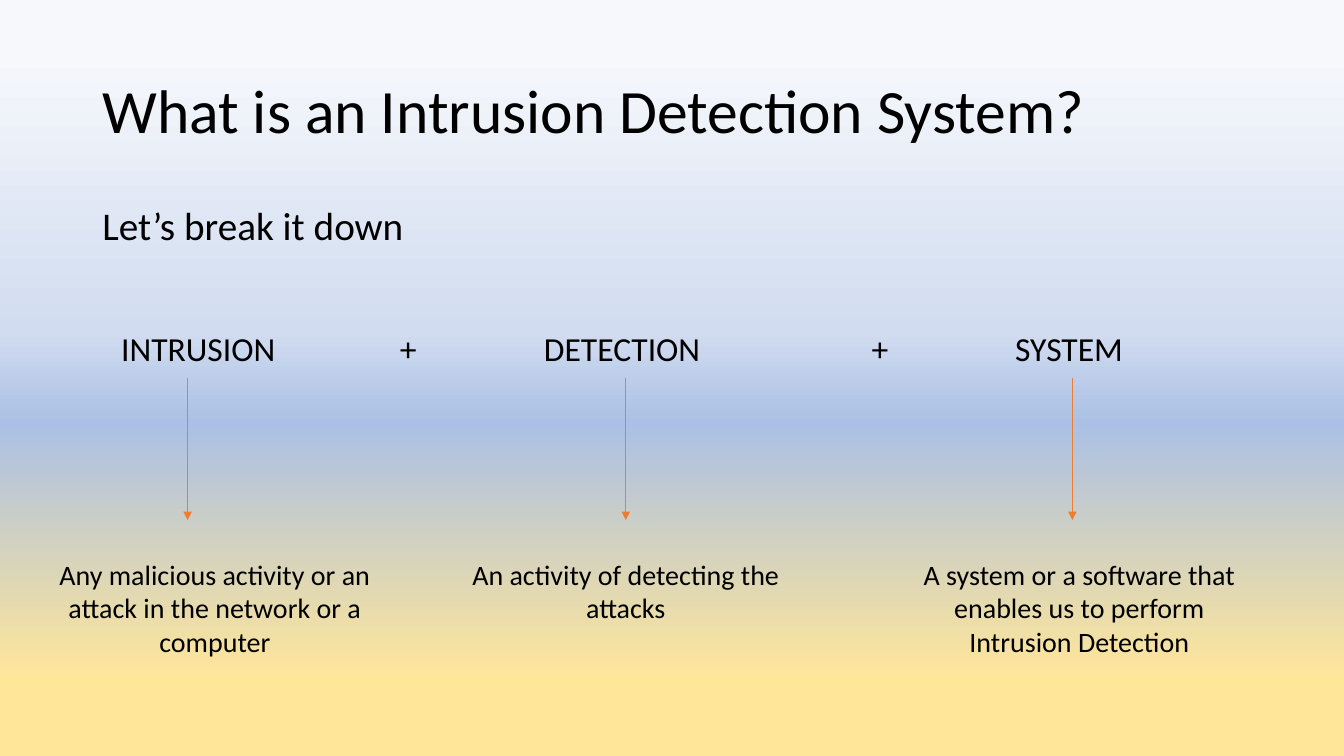
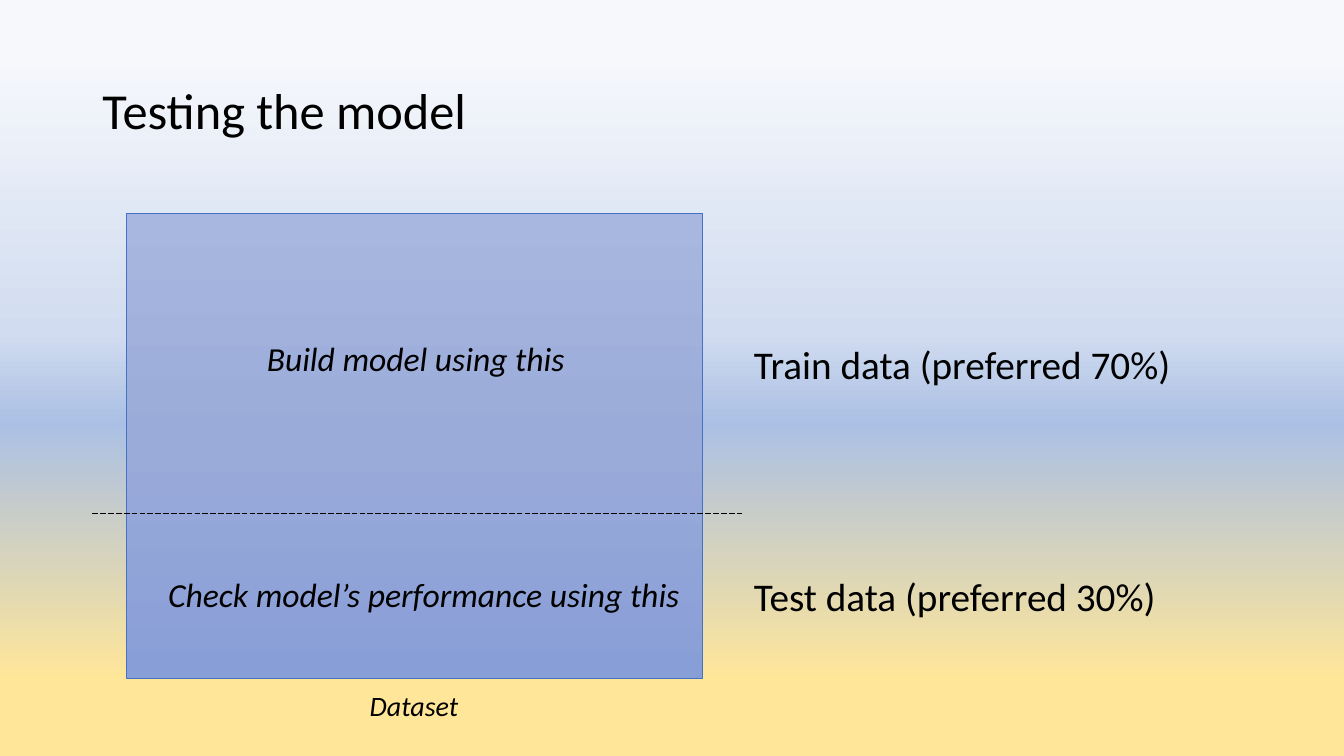
from lxml import etree
from pptx import Presentation
from pptx.dml.color import RGBColor
from pptx.enum.dml import MSO_LINE
from pptx.enum.shapes import MSO_CONNECTOR, MSO_SHAPE
from pptx.enum.text import MSO_ANCHOR, MSO_AUTO_SIZE, PP_ALIGN
from pptx.oxml.ns import qn
from pptx.util import Pt

LEFT, CENTER = PP_ALIGN.LEFT, PP_ALIGN.CENTER
TOP, MIDDLE = MSO_ANCHOR.TOP, MSO_ANCHOR.MIDDLE
FIXED = MSO_AUTO_SIZE.NONE
RECT, LINE = MSO_SHAPE.RECTANGLE, MSO_CONNECTOR.STRAIGHT
DASH = MSO_LINE.LONG_DASH

FONT = "Calibri"
INK, BLUE, ORANGE = "000000", "4472C4", "ED7D31"
SKY = [(7, "F6F8FC"), (44, "D1DCF0"), (56, "ABC0E4"), (90, "FFE699")]
HAZE = [(0, "A8B7DF"), (50, "9AABD9"), (100, "889ED7")]
TITLE = (66, 29, 828, 104)
BODY = (66, 144, 828, 343)


def color(code):
    return RGBColor.from_string(code)


def place(shape, box):
    shape.left, shape.top, shape.width, shape.height = map(Pt, box)


def blend(node, fill, stops):
    fill.gradient()
    fill.gradient_angle = 270
    grad = next(node.iter(qn("a:gradFill")))
    items = grad.find(qn("a:gsLst"))
    for old in list(items):
        items.remove(old)
    for pos, code in stops:
        stop = etree.SubElement(items, qn("a:gs"), pos=str(pos * 1000))
        etree.SubElement(stop, qn("a:srgbClr"), val=code)


def write(para, text, size, italic=False, align=LEFT):
    para.alignment = align
    run = para.add_run()
    run.text = text
    font = run.font
    font.name, font.size, font.italic = FONT, Pt(size), italic
    font.color.rgb = color(INK)


def label(slide, box, text, size, italic=False, align=LEFT, wrap=False):
    shape = slide.shapes.add_textbox(*map(Pt, box))
    frame = shape.text_frame
    frame.word_wrap = wrap
    write(frame.paragraphs[0], text, size, italic, align)


def rule(slide, start, end, code):
    line = slide.shapes.add_connector(LINE, *map(Pt, start + end))
    line.line.color.rgb = color(code)
    line.line.width = Pt(0.5)
    etree.SubElement(line._element.spPr, qn("a:effectLst"))
    return line


def fill_in(shape, box, text, size, anchor):
    place(shape, box)
    frame = shape.text_frame
    frame.auto_size = FIXED
    frame.vertical_anchor = anchor
    para = frame.paragraphs[0]
    para.line_spacing = 0.9
    para.space_before = Pt(0)
    write(para, text, size)
    return para


def start(deck, layout, title, size):
    slide = deck.slides.add_slide(deck.slide_layouts[layout])
    fill_in(slide.shapes.title, TITLE, title, size, MIDDLE)
    return slide


def column(slide, box, word, shift, stem, note):
    left, top, width, height = box
    label(slide, (left + shift, top, 200, 36), word, 24)
    tip = left + stem
    arrow = rule(slide, (tip, top + 39.5), (tip, top + 141), ORANGE)
    etree.SubElement(arrow.line._get_or_add_ln(), qn("a:tailEnd"), type="triangle")
    label(slide, (left, top + 164, width, height - 164), note, 20,
          align=CENTER, wrap=True)


def terms(deck):
    slide = start(deck, 1, "What is an Intrusion Detection System?", 44)
    para = fill_in(slide.placeholders[1], BODY, "Let’s break it down", 28, TOP)
    props = para._p.get_or_add_pPr()
    props.set("marL", "0")
    props.set("indent", "0")
    etree.SubElement(props, qn("a:buNone"))
    parts = [
        (27.5, "INTRUSION", 52, 106.5,
         "Any malicious activity or an attack in the network or a computer"),
        (321, "DETECTION", 60.5, 126, "An activity of detecting the attacks"),
        (645, "SYSTEM", 73, 121,
         "A system or a software that enables us to perform Intrusion Detection"),
    ]
    for left, *rest in parts:
        column(slide, (left, 230.5, 252, 244), *rest)
    for left in (278.5, 615.5):
        label(slide, (left, 230.5, 60, 36), "+", 24, wrap=True)


def dataset(slide, box):
    left, top, width, height = box
    block = slide.shapes.add_shape(RECT, *map(Pt, box))
    block.shadow.inherit = False
    blend(block._element, block.fill, HAZE)
    block.line.color.rgb = color(BLUE)
    block.line.width = Pt(0.5)
    cut = top + 214.5
    split = rule(slide, (left - 24, cut), (left + width + 29.5, cut), INK)
    split.line.dash_style = DASH
    label(slide, (left + 167, top + height + 4, 78.5, 32), "Dataset", 20, True)
    label(slide, (left + 93.5, top + 85, 230, 36), "Build model using this", 24, True)
    label(slide, (left + 23, top + 254, 384, 36),
          "Check model’s performance using this", 24, True)
    side = left + width + 29.5
    label(slide, (side, top + 87, 315.5, 41), "Train data (preferred 70%)", 28)
    label(slide, (side, top + 252.5, 304.5, 41), "Test data (preferred 30%)", 28)


def testing(deck):
    slide = start(deck, 5, "Testing the model", 36)
    dataset(slide, (90, 152.5, 412, 332))


def main():
    deck = Presentation()
    deck.slide_width, deck.slide_height = Pt(960), Pt(540)
    master = deck.slide_master
    blend(master._element, master.background.fill, SKY)
    terms(deck)
    testing(deck)
    deck.save("out.pptx")


if __name__ == "__main__":
    main()
